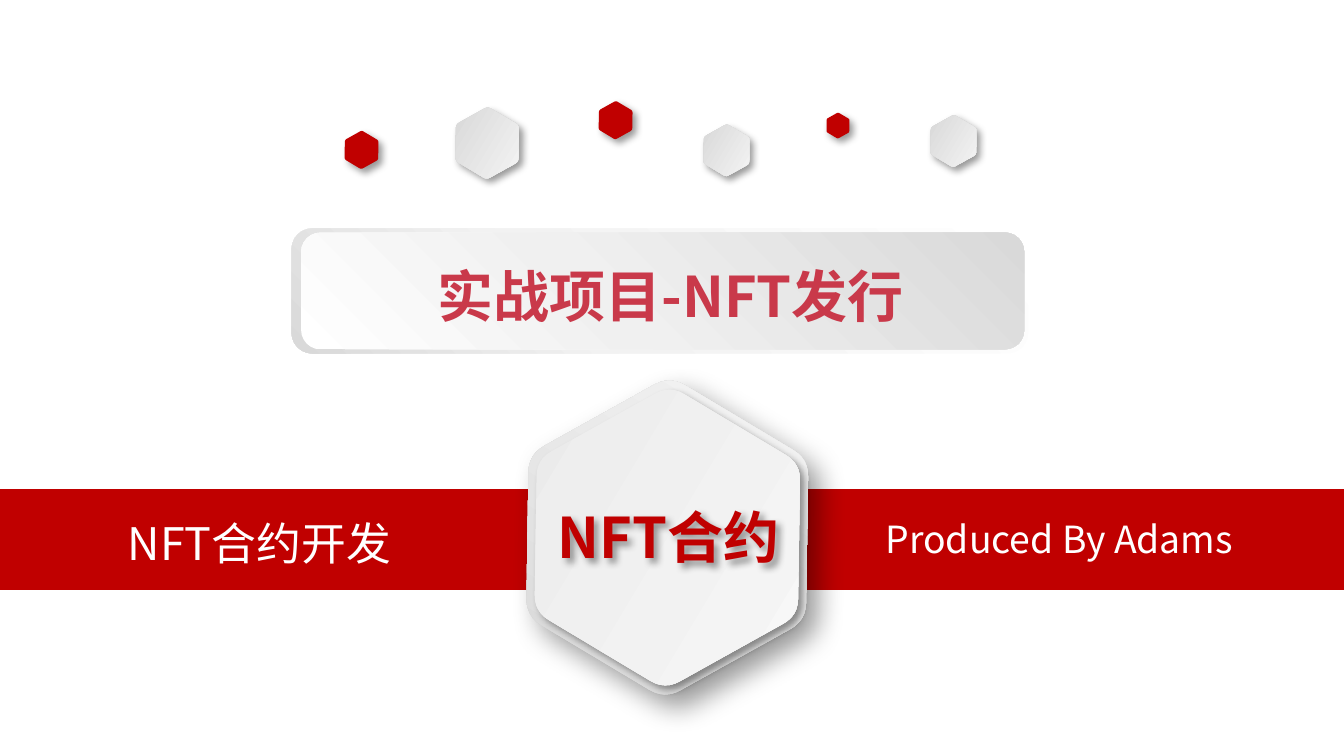
from dataclasses import dataclass
from math import cos, pi, sin, sqrt

from lxml.etree import SubElement
from pptx import Presentation
from pptx.dml.color import RGBColor as RGB
from pptx.enum.shapes import MSO_SHAPE as SHAPE
from pptx.enum.text import MSO_ANCHOR as ANCHOR, MSO_AUTO_SIZE as AUTO, PP_ALIGN as ALIGN
from pptx.oxml.ns import qn
from pptx.util import Pt


@dataclass(frozen=True)
class Theme:
    font: str = "Noto Sans CJK SC"
    red: str = "C00000"
    title_red: str = "C9394A"
    white: str = "FFFFFF"
    silver: tuple = ((0, "D3D3D3"), (100, "F9F9F9"))
    pale: tuple = ((0, "E9E9E9"), (100, "F9F9F9"))
    frame: tuple = ((0, "FFFFFF"), (62, "F2F2F2"), (100, "D9D9D9"))
    panel: tuple = ((0, "FFFFFF"), (42, "F0F0F0"), (100, "D9D9D9"))
    title_size: int = 30
    topic_size: int = 24
    author_size: int = 20


T = Theme()
SOFT, DEEP = (4, 3), (15, 9)  # shadow blur and distance
TILT = 30.9


def paint(sp, fill=None, angle=0):
    """Solid colour, gradient stops with a clockwise angle, or no fill."""
    sp.shadow.inherit = False
    sp.line.fill.background()
    if isinstance(fill, str):
        sp.fill.solid()
        sp.fill.fore_color.rgb = RGB.from_string(fill)
        return
    sp.fill.background()
    if fill is None:
        return
    props = sp._element.spPr
    grad = SubElement(props, qn("a:gradFill"), rotWithShape="1")
    stops = SubElement(grad, qn("a:gsLst"))
    for pos, color in fill:
        stop = SubElement(stops, qn("a:gs"), pos=str(pos * 1000))
        SubElement(stop, qn("a:srgbClr"), val=color)
    SubElement(grad, qn("a:lin"), ang=str(angle * 60000), scaled="0")
    props.replace(props.find(qn("a:noFill")), grad)


def cast_shadow(sp, depth):
    blur, dist = depth
    effects = sp._element.spPr.find(qn("a:effectLst"))
    shadow = SubElement(effects, qn("a:outerShdw"), blurRad=str(Pt(blur)),
                        dist=str(Pt(dist)), dir=str(45 * 60000),
                        algn="tl", rotWithShape="0")
    color = SubElement(shadow, qn("a:srgbClr"), val="000000")
    SubElement(color, qn("a:alpha"), val="40000")


def add_block(slide, kind, box, fill=None, angle=0):
    sp = slide.shapes.add_shape(kind, *map(Pt, box))
    paint(sp, fill, angle)
    return sp


def rounded_hexagon(cx, cy, height, cut=0.11, steps=6):
    """Outline points, each corner a quadratic curve cut from its sides."""
    radius = height / sqrt(3)
    corners = [(cx + radius * cos(k * pi / 3), cy + radius * sin(k * pi / 3))
               for k in range(6)]
    points = []
    for k, corner in enumerate(corners):
        before, after = corners[k - 1], corners[(k + 1) % 6]
        for i in range(steps + 1):
            t = i / steps
            a, b = cut * (1 - t) ** 2, cut * t ** 2
            points.append(tuple(Pt(c + a * (p - c) + b * (n - c))
                                for p, c, n in zip(before, corner, after)))
    return points


def add_hexagon(slide, cx, cy, height, fill, angle=0, depth=SOFT):
    start, *rest = rounded_hexagon(cx, cy, height)
    outline = slide.shapes.build_freeform(*start)
    outline.add_line_segments(rest, close=True)
    sp = outline.convert_to_shape()
    sp.rotation = TILT
    paint(sp, fill, angle)
    cast_shadow(sp, depth)


def write(sp, text, size, color, align=ALIGN.CENTER, bold=False):
    tf = sp.text_frame
    tf.word_wrap = True
    p = tf.paragraphs[0]
    p.text = text
    p.alignment = align
    p.font.name, p.font.size, p.font.bold = T.font, Pt(size), bold
    p.font.color.rgb = RGB.from_string(color)
    SubElement(p._p.find(".//" + qn("a:defRPr")), qn("a:ea"), typeface=T.font)


def add_label(slide, box, *args, **kwargs):
    sp = slide.shapes.add_textbox(*map(Pt, box))
    write(sp, *args, **kwargs)
    sp.text_frame.auto_size = AUTO.SHAPE_TO_FIT_TEXT


def main():
    prs = Presentation()
    prs.slide_width, prs.slide_height = Pt(720), Pt(405)
    slide = prs.slides.add_slide(prs.slide_layouts[6])

    # Red band with topic and author
    add_block(slide, SHAPE.RECTANGLE, (0, 262, 720, 54), T.red)
    add_label(slide, (12.2, 272.9, 253.4, 36), "NFT合约开发", T.topic_size, T.white)
    add_label(slide, (467.3, 272.9, 252, 31.7), "Produced By Adams",
              T.author_size, T.white, align=ALIGN.LEFT)

    # Scattered small hexagons
    for cx, cy, height, fill in (
        (261, 76.7, 33.8, T.silver),
        (329.8, 64.4, 18, T.red),
        (193.7, 80.3, 18, T.red),
        (389.2, 80.6, 24.5, T.silver),
        (448.9, 67.3, 12.2, T.red),
        (510.8, 75.6, 24.5, T.silver),
    ):
        add_hexagon(slide, cx, cy, height, fill)

    # Central badge
    add_hexagon(slide, 357.5, 288, 149.8, T.silver, 270, DEEP)
    add_hexagon(slide, 357.5, 288, 141.1, T.pale)

    # Title panel
    add_block(slide, SHAPE.ROUNDED_RECTANGLE, (156.2, 122.4, 394.6, 67), T.frame, 135)
    add_block(slide, SHAPE.ROUNDED_RECTANGLE, (161.3, 124.6, 387.4, 62.6), T.panel, 315)
    add_label(slide, (162, 136.8, 394.6, 79.9), "实战项目-NFT发行",
              T.title_size, T.title_red, bold=True)

    # Badge text
    badge = add_block(slide, SHAPE.ROUNDED_RECTANGLE, (287.3, 269.3, 141.8, 36))
    write(badge, "NFT合约", T.title_size, T.red, bold=True)
    badge.text_frame.vertical_anchor = ANCHOR.MIDDLE
    cast_shadow(badge, SOFT)

    prs.save("out.pptx")


main()
